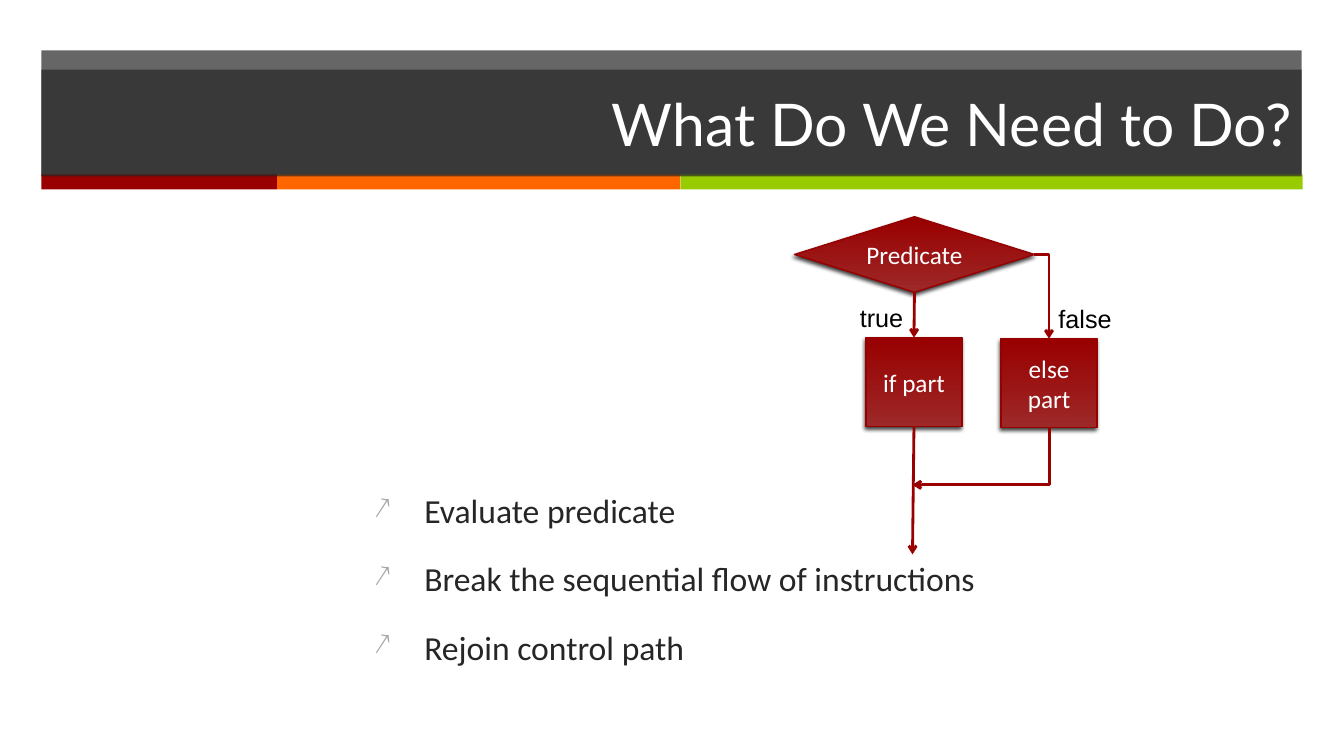
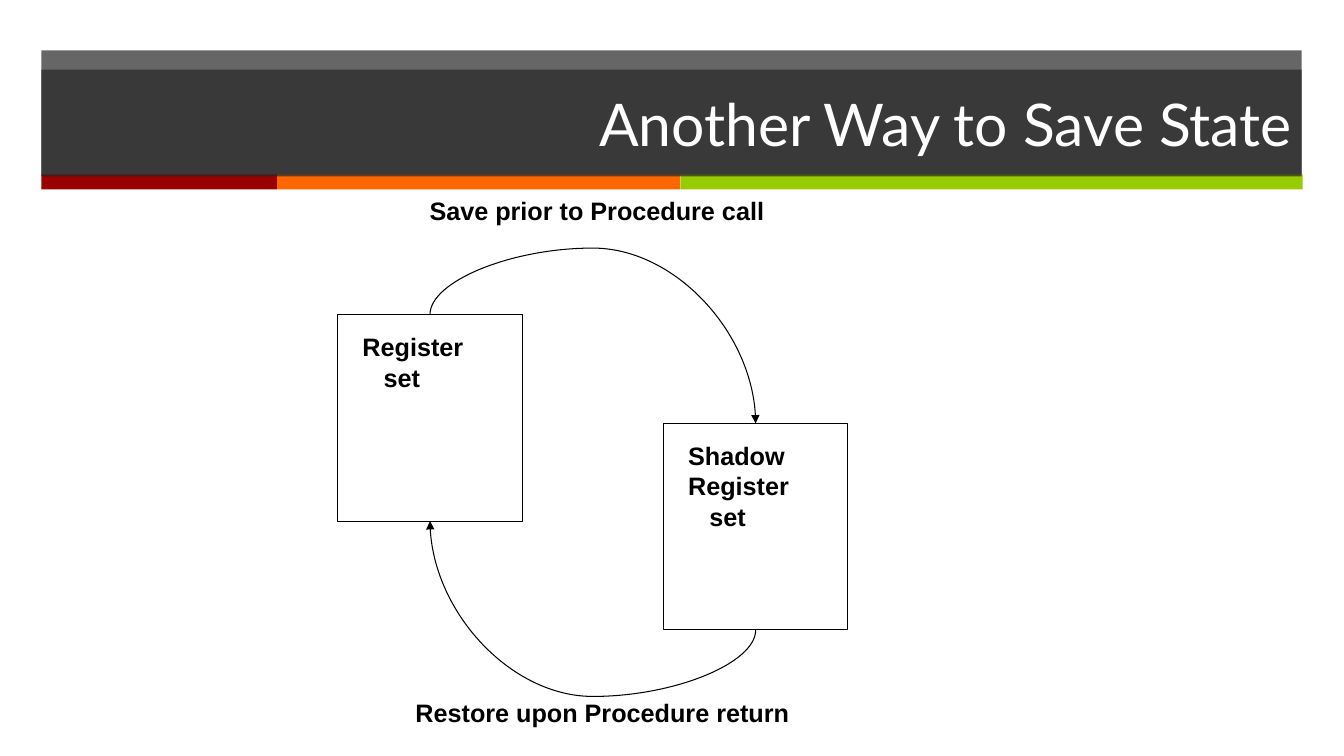
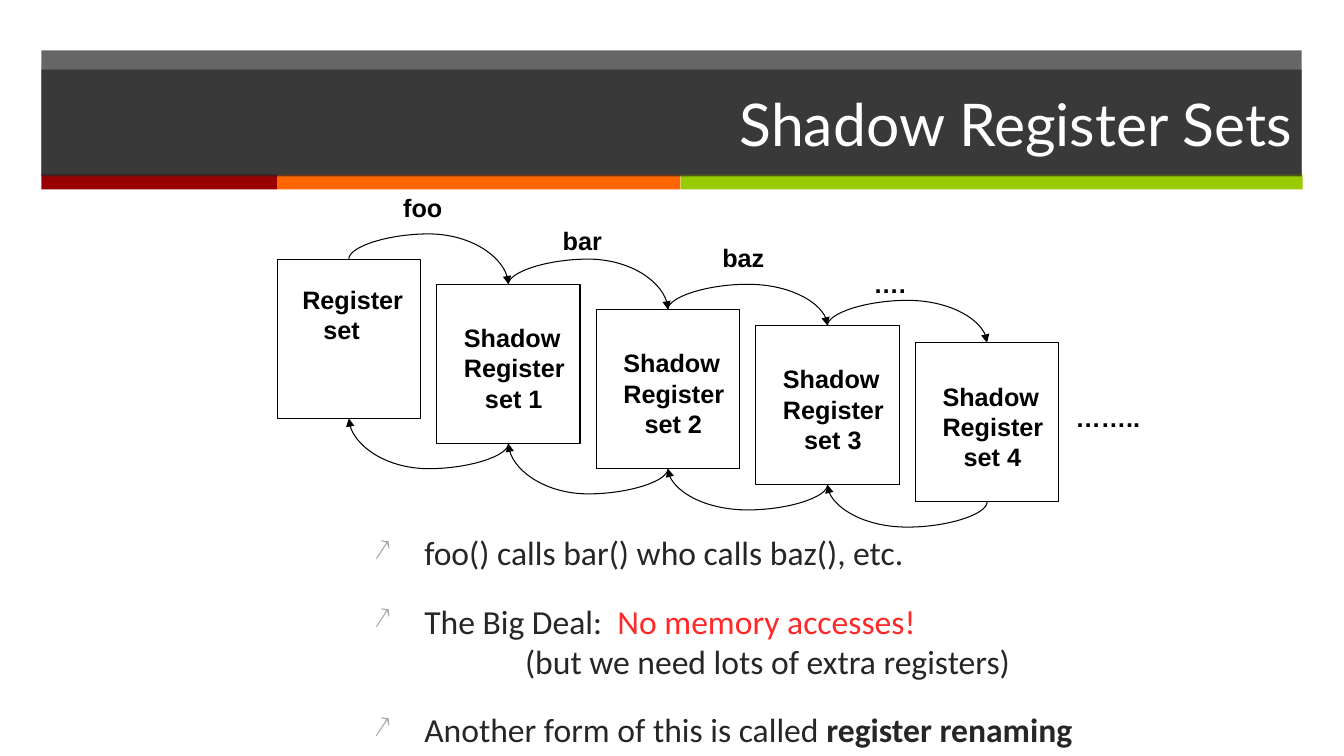
from collections import namedtuple

from lxml.etree import SubElement
from pptx import Presentation
from pptx.dml.color import RGBColor
from pptx.enum.shapes import MSO_CONNECTOR, MSO_SHAPE
from pptx.enum.text import MSO_ANCHOR, MSO_AUTO_SIZE, PP_ALIGN
from pptx.oxml.ns import qn
from pptx.util import Inches, Pt

BLACK = RGBColor(0x00, 0x00, 0x00)
WHITE = RGBColor(0xFF, 0xFF, 0xFF)
CHARCOAL = RGBColor(0x26, 0x26, 0x26)
BULLET_GRAY = RGBColor(0xA6, 0xA6, 0xA6)
RED = RGBColor(0x99, 0x00, 0x00)
SOFT_RED = RGBColor(0x9D, 0x28, 0x28)
EDGE_RED = RGBColor(0x96, 0x00, 0x00)
ALERT_RED = RGBColor(0xFF, 0x29, 0x29)
ORANGE = RGBColor(0xFF, 0x66, 0x00)
GREEN = RGBColor(0x99, 0xCC, 0x00)

TITLE_FONT, BODY_FONT, LABEL_FONT = "Lato", "Calibri", "Arial"

# Lengths in a Box are inches
Box = namedtuple("Box", "left top width height")


def emu(box):
    return [Inches(length) for length in box]


def top_of(box):
    return box.left + box.width / 2, box.top


def bottom_of(box):
    return box.left + box.width / 2, box.top + box.height


def right_of(box):
    return box.left + box.width, box.top + box.height / 2


def format_run(span, font, size, color, bold=None):
    span.font.name = font
    span.font.size = Pt(size)
    span.font.color.rgb = color
    span.font.bold = bold


def fill_solid(shape, color, opacity=None):
    shape.fill.solid()
    shape.fill.fore_color.rgb = color
    if opacity:
        for value in shape.element.spPr.iter(qn("a:srgbClr")):
            SubElement(value, qn("a:alpha"), val=str(opacity * 1000))


# Shared frame: header, colour stripes and title
def add_band(page, box, color, opacity=None):
    band = page.shapes.add_shape(MSO_SHAPE.RECTANGLE, *emu(box))
    band.shadow.inherit = False
    fill_solid(band, color, opacity)
    band.line.fill.background()


def add_page(deck, title_text):
    page = deck.slides.add_slide(deck.slide_layouts[5])
    add_band(page, Box(0.41, 0.5, 12.5, 1.24), CHARCOAL, 70)
    left = 0.41
    for width, color in ((2.34, RED), (4, ORANGE), (6.17, GREEN)):
        add_band(page, Box(left, 1.73, width, 0.15), color)
        left += width

    title = page.shapes.title
    title.left, title.top, title.width, title.height = emu(Box(0.41, 0.69, 12.5, 1.06))
    fill_solid(title, CHARCOAL, 70)
    frame = title.text_frame
    frame.text = title_text
    frame.auto_size = MSO_AUTO_SIZE.NONE
    frame.vertical_anchor = MSO_ANCHOR.MIDDLE
    frame.paragraphs[0].alignment = PP_ALIGN.RIGHT
    format_run(frame.paragraphs[0].runs[0], TITLE_FONT, 42, WHITE)
    # The translucent title lies over the bands
    title.element.getparent().append(title.element)
    return page


# Bulleted text: each item is a list of (text, color, bold)
def add_bullets(page, box, items):
    frame = page.shapes.add_textbox(*emu(box)).text_frame
    frame.word_wrap = True
    for index, item in enumerate(items):
        para = frame.add_paragraph() if index else frame.paragraphs[0]
        para.space_before = Pt(20)
        properties = para._p.get_or_add_pPr()
        properties.set("marL", str(Inches(0.5)))
        properties.set("indent", str(Inches(-0.5)))
        bullet_color = SubElement(properties, qn("a:buClr"))
        SubElement(bullet_color, qn("a:srgbClr"), val=str(BULLET_GRAY))
        SubElement(properties, qn("a:buSzPct"), val="90000")
        SubElement(properties, qn("a:buChar"), char="↗")
        for position, (text, color, bold) in enumerate(item):
            if position and text.startswith("\t"):
                para.add_line_break()
            span = para.add_run()
            span.text = text
            format_run(span, BODY_FONT, 24, color, bold)


# Labels that do not wrap; lines named "set" are indented
def add_label(page, box, lines, bold=True, tight=False):
    frame = page.shapes.add_textbox(*emu(box)).text_frame
    frame.word_wrap = False
    frame.auto_size = MSO_AUTO_SIZE.SHAPE_TO_FIT_TEXT
    if tight:
        frame.margin_left = frame.margin_right = Inches(0.05)
        frame.margin_top = frame.margin_bottom = Inches(0.02)
    frame.text = "\n".join(lines)
    for para in frame.paragraphs:
        if para.text.startswith("set"):
            para._p.get_or_add_pPr().set("marL", str(Inches(0.21)))
        format_run(para.runs[0], LABEL_FONT, 18, BLACK, bold)


# Connectors
def style_arrow(connector, color, width, head):
    connector.line.color.rgb = color
    connector.line.width = Pt(width)
    properties = connector.element.spPr
    SubElement(properties.find(qn("a:ln")), qn("a:tailEnd"), type=head)
    SubElement(properties, qn("a:effectLst"))


def add_arrow(page, kind, start, end):
    connector = page.shapes.add_connector(kind, *emu(start + end))
    style_arrow(connector, RED, 2, "arrow")
    return connector


def set_geometry(connector, preset, adjust=None):
    geometry = connector.element.spPr.find(qn("a:prstGeom"))
    geometry.set("prst", preset)
    if adjust is not None:
        guides = geometry.find(qn("a:avLst"))
        if guides is None:
            guides = SubElement(geometry, qn("a:avLst"))
        SubElement(guides, qn("a:gd"), name="adj1", fmla=f"val {round(adjust * 100000)}")


def turn(connector, degrees):
    connector.element.spPr.find(qn("a:xfrm")).set("rot", str(degrees * 60000))


def turned_ends(start, end):
    """Corners of the box that spans start and end after a quarter turn."""
    middle_x, middle_y = (start[0] + end[0]) / 2, (start[1] + end[1]) / 2
    half_width, half_height = abs(end[1] - start[1]) / 2, abs(end[0] - start[0]) / 2
    return ((middle_x - half_width, middle_y - half_height),
            (middle_x + half_width, middle_y + half_height))


def add_arc(page, start, end, rise):
    """Curve that leaves start vertically, bulges by rise and enters end."""
    (left, top), (right, bottom) = turned_ends(start, end)
    arc = page.shapes.add_connector(MSO_CONNECTOR.CURVE, *emu((left, bottom, right, top)))
    turn(arc, 90 if end[0] > start[0] else 270)
    set_geometry(arc, "curvedConnector3", -rise / abs(end[1] - start[1]))
    style_arrow(arc, BLACK, 0.75, "triangle")


# Flowchart of a conditional
def add_step(page, preset, box, text):
    step = page.shapes.add_shape(preset, *emu(box))
    step.fill.gradient()
    step.fill.gradient_angle = 90
    for stop, color in zip(step.fill.gradient_stops, (SOFT_RED, RED)):
        stop.color.rgb = color
    step.line.color.rgb = EDGE_RED
    step.line.width = Pt(1)
    step.shadow.inherit = False
    effects = step.element.spPr.find(qn("a:effectLst"))
    shadow = SubElement(effects, qn("a:outerShdw"), blurRad=str(Pt(3)), dist=str(Pt(2)),
                        dir=str(110 * 60000), rotWithShape="0")
    shadow_color = SubElement(shadow, qn("a:srgbClr"), val=str(BLACK))
    SubElement(shadow_color, qn("a:alpha"), val="75000")
    frame = step.text_frame
    frame.text = text
    frame.vertical_anchor = MSO_ANCHOR.MIDDLE
    frame.paragraphs[0].alignment = PP_ALIGN.CENTER
    format_run(frame.paragraphs[0].runs[0], BODY_FONT, 18, WHITE)


def add_flowchart(page, area):
    predicate = Box(area.left, area.top, 2.38, 0.75)
    if_part = Box(area.left + 0.71, area.top + 1.2, 0.95, 0.88)
    else_part = Box(area.left + 2.05, area.top + 1.21, 0.95, 0.88)
    add_step(page, MSO_SHAPE.DIAMOND, predicate, "Predicate")
    add_step(page, MSO_SHAPE.RECTANGLE, if_part, "if part")
    add_step(page, MSO_SHAPE.RECTANGLE, else_part, "else part")
    add_label(page, Box(area.left + 0.55, area.top + 0.8, 0.64, 0.4), ["true"], bold=False)
    add_label(page, Box(area.left + 2.52, area.top + 0.81, 0.74, 0.4), ["false"], bold=False)

    # Branches
    branch = add_arrow(page, MSO_CONNECTOR.ELBOW, right_of(predicate), top_of(else_part))
    set_geometry(branch, "bentConnector2")
    add_arrow(page, MSO_CONNECTOR.STRAIGHT, bottom_of(predicate), top_of(if_part))
    exit_x = area.left + 1.17
    add_arrow(page, MSO_CONNECTOR.STRAIGHT, bottom_of(if_part),
              (exit_x, area.top + area.height))
    # Rejoining path
    corners = turned_ends(bottom_of(else_part), (exit_x, area.top + 2.66))
    rejoin = add_arrow(page, MSO_CONNECTOR.ELBOW, *corners)
    set_geometry(rejoin, "bentConnector2")
    turn(rejoin, 90)


# Register sets
def add_register_set(page, box, text_box, lines, tight=False):
    outline = page.shapes.add_shape(MSO_SHAPE.RECTANGLE, *emu(box))
    outline.shadow.inherit = False
    outline.fill.background()
    outline.line.color.rgb = BLACK
    outline.line.width = Pt(0.75)
    add_label(page, text_box, lines, tight=tight)


def add_save_cycle(page, area):
    registers = Box(area.left, area.top + 1.2, 1.83, 2.05)
    shadow = Box(area.left + 3.23, area.top + 2.28, 1.83, 2.05)
    for box, width, height, lines in (
            (registers, 1.11, 0.66, ["Register", "set"]),
            (shadow, 1.1, 0.95, ["Shadow", "Register", "set"])):
        text_box = Box(box.left + 0.195, box.top + 0.15, width, height)
        add_register_set(page, box, text_box, lines, tight=True)
    add_arc(page, top_of(registers), top_of(shadow), 0.66)
    add_arc(page, bottom_of(shadow), bottom_of(registers), 0.66)
    add_label(page, Box(area.left + 0.86, area.top, 3.45, 0.35),
              ["Save prior to Procedure call"], tight=True)
    add_label(page, Box(area.left + 0.72, area.top + area.height - 0.35, 3.85, 0.35),
              ["Restore upon Procedure return"], tight=True)


def add_register_chain(page, area):
    width, height = 1.42, 1.58
    pitch = (area.width - width) / 4
    drops = (0, 0.25, 0.5, 0.66, 0.83)
    sets = [Box(area.left + index * pitch, area.top + drop, width, height)
            for index, drop in enumerate(drops)]
    for index, box in enumerate(sets):
        if index:
            text_box = Box(box.left + 0.17, box.top + 0.33, 1.2, 1)
            lines = ["Shadow", "Register", f"set {index}"]
        else:
            text_box = Box(box.left + 0.15, box.top + 0.2, 1.2, 0.7)
            lines = ["Register", "set"]
        add_register_set(page, box, text_box, lines)

    # Calls above, returns below
    for caller, callee in zip(sets, sets[1:]):
        add_arc(page, top_of(caller), top_of(callee), 0.25)
        add_arc(page, bottom_of(callee), bottom_of(caller), 0.25)
    calls = (("foo", 1.15, -0.71, 0.59), ("bar", 1.15, -0.63, 0.59),
             ("baz", 1.15, -0.71, 0.62), ("….", 1.07, -0.62, 0.52),
             ("……..", 1.49, 0.54, 0.84))
    for box, (name, right, down, label_width) in zip(sets, calls):
        add_label(page, Box(box.left + right, box.top + down, label_width, 0.4), [name])


deck = Presentation()
deck.slide_width, deck.slide_height = Inches(13.33), Inches(7.5)

# Conditional flow
page = add_page(deck, "What Do We Need to Do?")
add_bullets(page, Box(3.61, 4.81, 7.74, 2.43), [
    [(text, CHARCOAL, None)] for text in (
        "Evaluate predicate",
        "Break the sequential flow of instructions",
        "Rejoin control path")])
add_flowchart(page, Box(7.88, 2.15, 3, 3.35))

# Saving and restoring
page = add_page(deck, "Another Way to Save State")
add_save_cycle(page, Box(3.35, 1.92, 5.06, 5.33))

# Chain of shadow sets
page = add_page(deck, "Shadow Register Sets")
add_register_chain(page, Box(2.75, 2.57, 7.75, 2.41))
add_bullets(page, Box(3.61, 5.23, 7.74, 2.15), [
    [("foo() calls bar() who calls baz(), etc.", CHARCOAL, None)],
    [("The Big Deal:  ", CHARCOAL, None),
     ("No memory accesses!", ALERT_RED, None),
     ("\t\t(but we need lots of extra registers)", CHARCOAL, None)],
    [("Another form of this is called ", CHARCOAL, None),
     ("register renaming", CHARCOAL, True)]])

deck.save("out.pptx")
